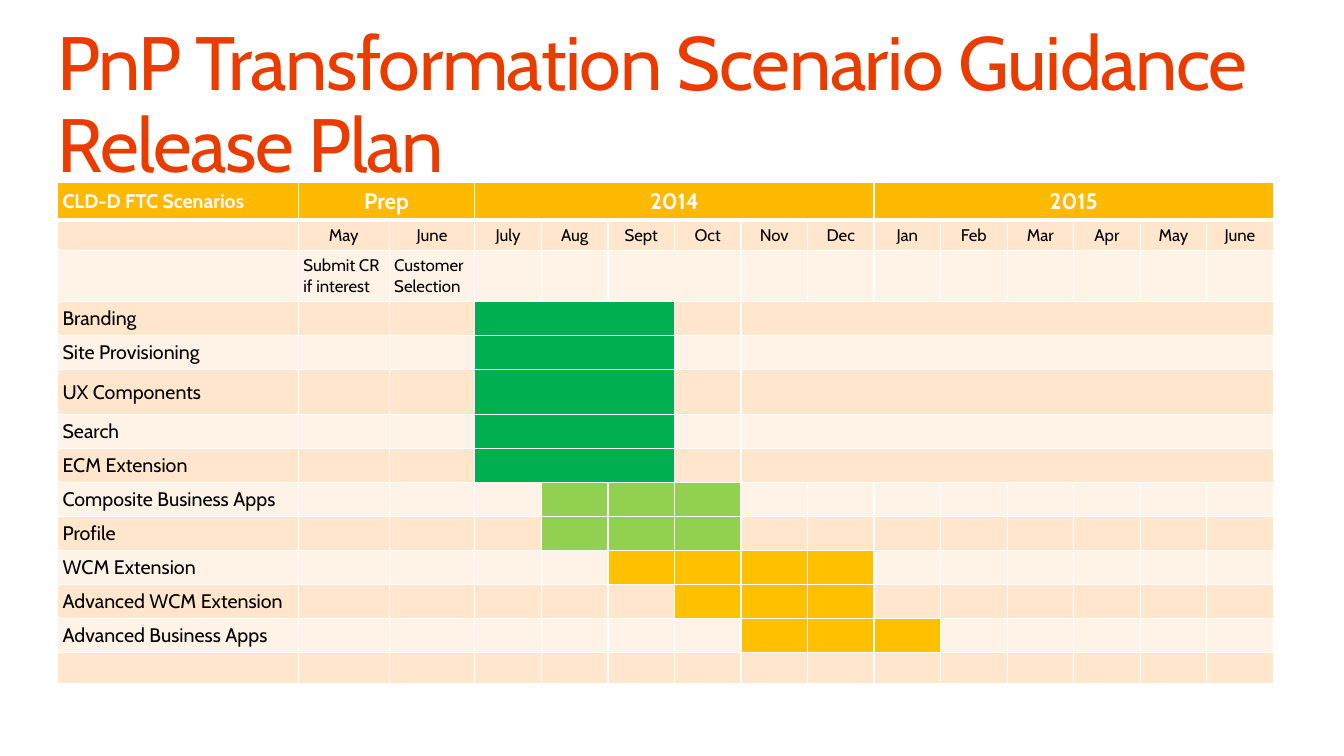
import lxml.etree
import pptx
import pptx.dml.color
import pptx.enum.text
import pptx.oxml.ns
import pptx.util

Inches = pptx.util.Inches
Pt = pptx.util.Pt
RGBColor = pptx.dml.color.RGBColor
ALIGN = pptx.enum.text.PP_ALIGN
ANCHOR = pptx.enum.text.MSO_ANCHOR
qn = pptx.oxml.ns.qn

ORANGE_RED = RGBColor(0xEB, 0x3C, 0x00)
AMBER = RGBColor(0xFF, 0xB9, 0x00)
PEACH = RGBColor(0xFF, 0xE6, 0xCC)
CREAM = RGBColor(0xFF, 0xF3, 0xE7)
GREEN = RGBColor(0x00, 0xB0, 0x50)
LIME = RGBColor(0x92, 0xD0, 0x50)
GOLD = RGBColor(0xFF, 0xC0, 0x00)
WHITE = RGBColor(0xFF, 0xFF, 0xFF)
BLACK = RGBColor(0x00, 0x00, 0x00)

COLUMN_WIDTHS = [2.39, 0.9, 0.85] + [0.66] * 12
ROW_HEIGHTS = [0.37, 0.3, 0.5, 0.33, 0.33, 0.45] + [0.33] * 7 + [0.3]
MONTHS = ["May", "June", "July", "Aug", "Sept", "Oct", "Nov", "Dec",
          "Jan", "Feb", "Mar", "Apr", "May", "June"]
PERIODS = [("Prep", 1, 2), ("2014", 3, 8), ("2015", 9, 14)]
PREPARATION = ["Submit CR if interest", "Customer Selection"]
SCENARIOS = [
    ("Branding", GREEN, 3, 5),
    ("Site Provisioning", GREEN, 3, 5),
    ("UX Components", GREEN, 3, 5),
    ("Search", GREEN, 3, 5),
    ("ECM Extension", GREEN, 3, 5),
    ("Composite Business Apps", LIME, 4, 6),
    ("Profile", LIME, 4, 6),
    ("WCM Extension", GOLD, 5, 8),
    ("Advanced WCM Extension", GOLD, 6, 8),
    ("Advanced Business Apps", GOLD, 7, 9),
]


class ReleaseSlide:
    """Hold the type style and the current slide, and add its elements."""

    def __init__(self, deck, font_name):
        self.font_name = font_name
        self.slide = deck.slides.add_slide(deck.slide_layouts[5])

    def text_run(self, paragraph, text, size, color, bold=False):
        run = paragraph.add_run()
        run.text = text
        run.font.name = self.font_name
        run.font.size = Pt(size)
        run.font.bold = bold
        run.font.color.rgb = color
        return run

    def title(self, text):
        heading = self.slide.shapes.title
        heading.left, heading.top = Inches(0.57), Inches(0.25)
        heading.width, heading.height = Inches(12.19), Inches(0.82)
        frame = heading.text_frame
        frame.word_wrap = True
        frame.auto_size = pptx.enum.text.MSO_AUTO_SIZE.NONE
        frame.vertical_anchor = ANCHOR.TOP
        frame.margin_left = frame.margin_right = 0
        frame.margin_top = frame.margin_bottom = 0
        line = frame.paragraphs[0]
        line.alignment = ALIGN.LEFT
        line.line_spacing = 0.9
        run = self.text_run(line, text, 54, ORANGE_RED)
        run._r.get_or_add_rPr().set("spc", "-100")

    def table(self, left, top, widths, heights):
        frame = self.slide.shapes.add_table(
            len(heights), len(widths), Inches(left), Inches(top),
            Inches(sum(widths)), Inches(sum(heights)))
        plan = frame.table
        plan.horz_banding = False
        for column, width in zip(plan.columns, widths):
            column.width = Inches(width)
        for row, height in zip(plan.rows, heights):
            row.height = Inches(height)
        return plan

    def cell(self, cell, fill, bottom=1):
        properties = cell._tc.get_or_add_tcPr()
        for side, weight in (("L", 1), ("R", 1), ("T", 1), ("B", bottom)):
            border = lxml.etree.SubElement(
                properties, qn(f"a:ln{side}"), w=str(Pt(weight)))
            paint = lxml.etree.SubElement(border, qn("a:solidFill"))
            lxml.etree.SubElement(paint, qn("a:srgbClr"), val=str(WHITE))
        cell.fill.solid()
        cell.fill.fore_color.rgb = fill
        cell.vertical_anchor = ANCHOR.MIDDLE
        cell.margin_left = cell.margin_right = Inches(0.05)
        cell.margin_top = cell.margin_bottom = Inches(0.05)
        paragraph = cell.text_frame.paragraphs[0]
        lxml.etree.SubElement(paragraph._p, qn("a:endParaRPr"), sz="1200")

    def label(self, cell, text, size, color=BLACK, bold=False, align=ALIGN.LEFT):
        paragraph = cell.text_frame.paragraphs[0]
        paragraph.alignment = align
        self.text_run(paragraph, text, size, color, bold)


def main():
    deck = pptx.Presentation()
    deck.slide_width, deck.slide_height = Inches(13.33), Inches(7.5)
    release = ReleaseSlide(deck, "Cabin")
    release.title("PnP Transformation Scenario Guidance Release Plan")
    plan = release.table(0.57, 1.81, COLUMN_WIDTHS, ROW_HEIGHTS)

    for row in range(len(ROW_HEIGHTS)):
        band = AMBER if row == 0 else PEACH if row % 2 else CREAM
        for column in range(len(COLUMN_WIDTHS)):
            fill = band
            if 3 <= row < 3 + len(SCENARIOS):
                name, phase, start, end = SCENARIOS[row - 3]
                fill = phase if start <= column <= end else band
            release.cell(plan.cell(row, column), fill, 1 if row else 3)

    release.label(plan.cell(0, 0), "CLD-D FTC Scenarios", 14, WHITE, True)
    for period, start, end in PERIODS:
        plan.cell(0, start).merge(plan.cell(0, end))
        release.label(plan.cell(0, start), period, 16, WHITE, True, ALIGN.CENTER)
    for column, month in enumerate(MONTHS, 1):
        release.label(plan.cell(1, column), month, 12, align=ALIGN.CENTER)
    for column, step in enumerate(PREPARATION, 1):
        release.label(plan.cell(2, column), step, 12)
    plan.cell(2, 5).merge(plan.cell(2, 6))
    for row, (name, phase, start, end) in enumerate(SCENARIOS, 3):
        release.label(plan.cell(row, 0), name, 14)
        if phase == GREEN:
            plan.cell(row, start).merge(plan.cell(row, end))
            plan.cell(row, 7).merge(plan.cell(row, 14))

    deck.save("out.pptx")


if __name__ == "__main__":
    main()
